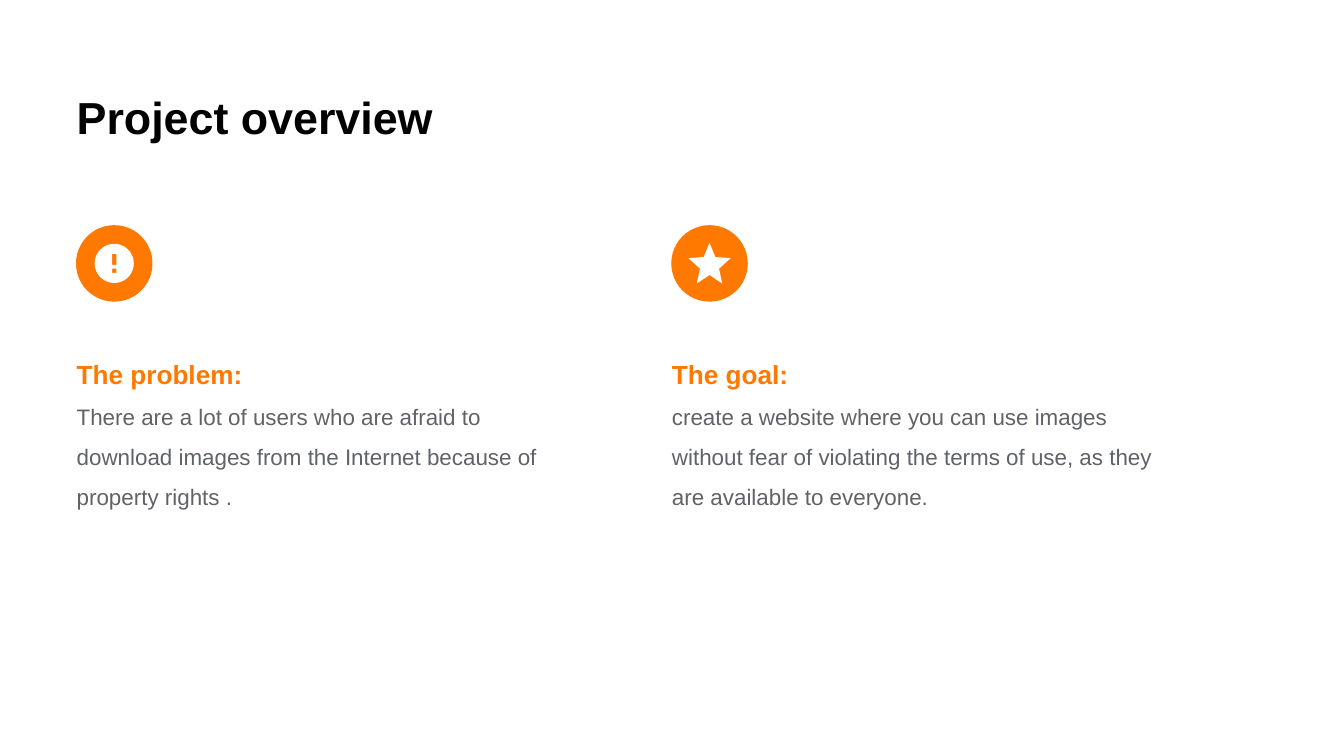
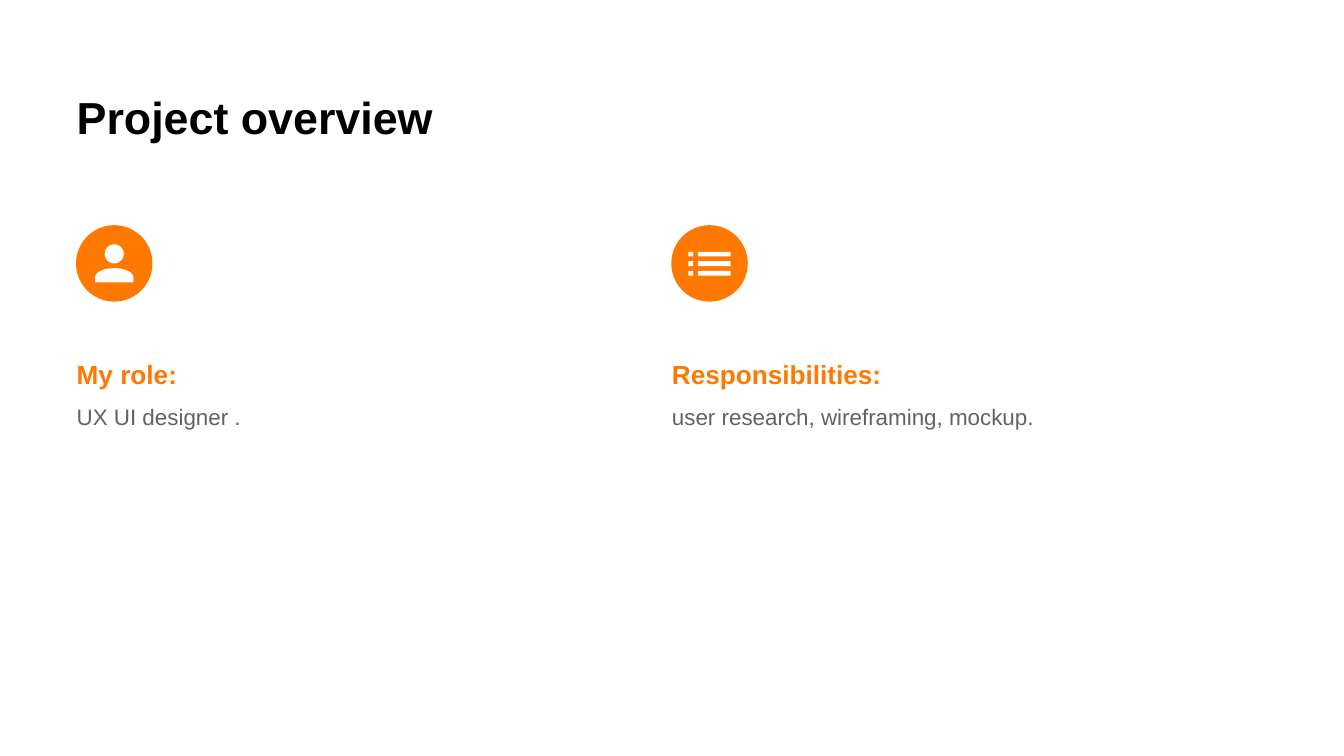
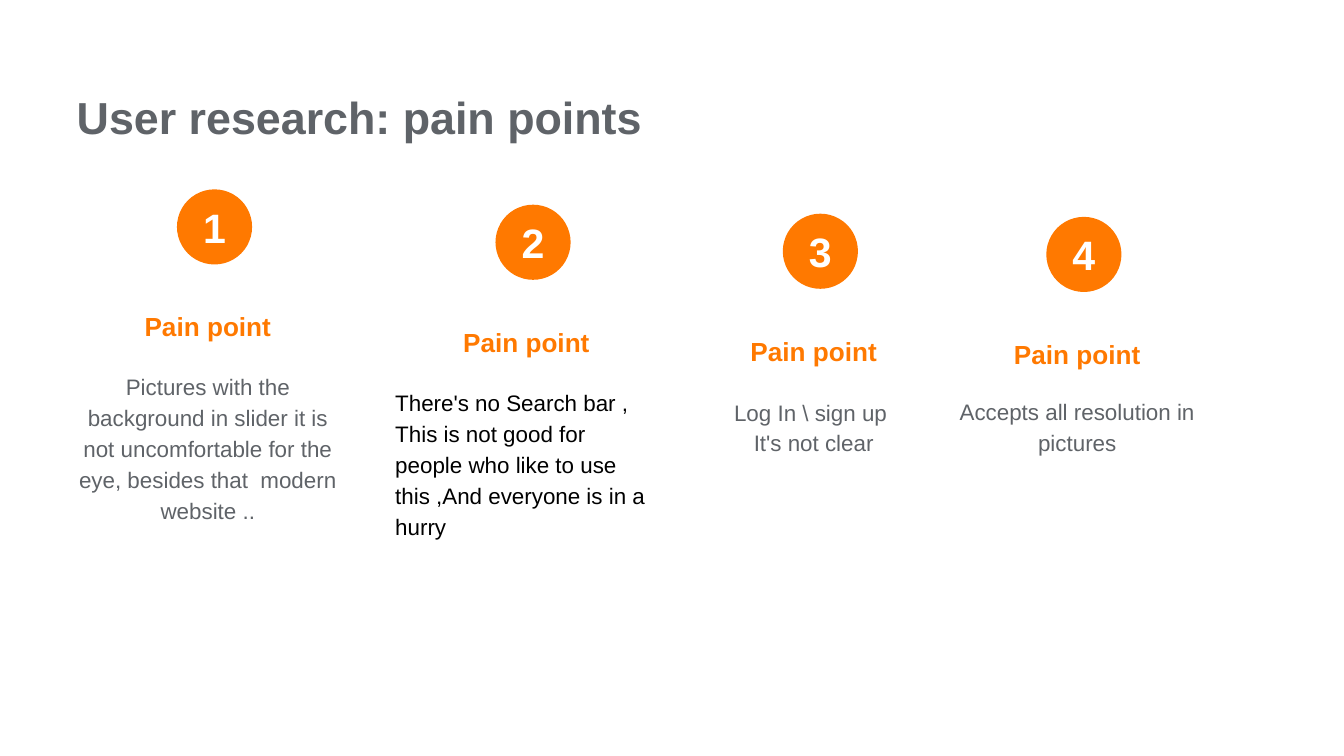
import math
from dataclasses import dataclass

import pptx
import pptx.dml.color
import pptx.enum.shapes
import pptx.enum.text
import pptx.presentation
import pptx.shapes.autoshape
import pptx.slide
import pptx.text.text
import pptx.util
from pptx.util import Cm

COLORS = {
    "accent": "FF7900",
    "body": "5F6368",
    "black": "000000",
    "white": "FFFFFF",
}
FONT = "Arial"
MARGIN = 1.45
DISC_SIZE = 1.42
LEFT = pptx.enum.text.PP_ALIGN.LEFT
CENTER = pptx.enum.text.PP_ALIGN.CENTER

Point = tuple[float, float]
Contour = list[Point]


@dataclass(frozen=True)
class Box:
    left: float
    top: float
    width: float
    height: float


@dataclass(frozen=True)
class Line:
    text: str
    size: float
    color: str
    bold: bool = False
    align: pptx.enum.text.PP_ALIGN = LEFT
    spacing: float | None = None


@dataclass(frozen=True)
class Topic:
    left: float
    icon: list[Contour]
    heading: str
    body: str


@dataclass(frozen=True)
class PainPoint:
    left: float
    disc_top: float
    body_top: float
    body_height: float
    body: tuple[str, ...]
    color: str = "body"
    align: pptx.enum.text.PP_ALIGN = CENTER


def rgb(color: str) -> pptx.dml.color.RGBColor:
    return pptx.dml.color.RGBColor.from_string(COLORS[color])


def arc(center_y: float, radius_x: float, radius_y: float, start: float = 0, sweep: float = 360) -> Contour:
    steps = 48
    angles = [math.radians(start + sweep * step / steps) for step in range(steps + 1)]
    return [(radius_x * math.cos(angle), center_y + radius_y * math.sin(angle)) for angle in angles]


def rectangle(left: float, top: float, right: float, bottom: float) -> Contour:
    return [(left, top), (right, top), (right, bottom), (left, bottom)]


def alert_icon() -> list[Contour]:
    return [arc(0, 0.37, 0.37), rectangle(-0.04, -0.18, 0.04, 0.03), rectangle(-0.04, 0.1, 0.04, 0.18)]


def star_icon() -> list[Contour]:
    half = [(0, -0.39), (0.11, -0.12), (0.4, -0.1), (0.18, 0.1), (0.24, 0.38), (0, 0.22)]
    return [half + [(-x, y) for x, y in half[-2:0:-1]]]


def person_icon() -> list[Contour]:
    shoulders = arc(0.26, 0.36, 0.17, 180, 180) + [(0.36, 0.36), (-0.36, 0.36)]
    return [arc(-0.18, 0.18, 0.18), shoulders]


def list_icon() -> list[Contour]:
    return [
        rectangle(left, top, right, top + 0.09)
        for top in (-0.22, -0.04, 0.14)
        for left, right in ((-0.4, -0.31), (-0.22, 0.4))
    ]


def write_paragraph(paragraph: pptx.text.text._Paragraph, line: Line, parts: tuple[str, ...]) -> None:
    for index, part in enumerate(parts):
        if index:
            paragraph.add_line_break()
        paragraph.add_run().text = part
    paragraph.alignment = line.align
    if line.spacing:
        paragraph.line_spacing = line.spacing
    paragraph.font.name = FONT
    paragraph.font.size = pptx.util.Pt(line.size)
    paragraph.font.bold = line.bold
    paragraph.font.color.rgb = rgb(line.color)


def add_text(slide: pptx.slide.Slide, box: Box, *lines: tuple[Line, tuple[str, ...]] | Line) -> None:
    shape = slide.shapes.add_textbox(Cm(box.left), Cm(box.top), Cm(box.width), Cm(box.height))
    frame = shape.text_frame
    frame.word_wrap = True
    frame.auto_size = pptx.enum.text.MSO_AUTO_SIZE.SHAPE_TO_FIT_TEXT
    frame.margin_left = 0
    frame.margin_top = frame.margin_right = frame.margin_bottom = Cm(0.25)
    for index, entry in enumerate(lines):
        line, parts = (entry, (entry.text,)) if isinstance(entry, Line) else entry
        paragraph = frame.add_paragraph() if index else frame.paragraphs[0]
        write_paragraph(paragraph, line, parts)


def add_disc(slide: pptx.slide.Slide, left: float, top: float) -> pptx.shapes.autoshape.Shape:
    disc = slide.shapes.add_shape(
        pptx.enum.shapes.MSO_SHAPE.OVAL, Cm(left), Cm(top), Cm(DISC_SIZE), Cm(DISC_SIZE)
    )
    disc.shadow.inherit = False
    disc.fill.solid()
    disc.fill.fore_color.rgb = rgb("accent")
    disc.line.fill.background()
    return disc


def add_icon(slide: pptx.slide.Slide, center: Point, contours: list[Contour]) -> None:
    placed = [[(Cm(center[0] + x), Cm(center[1] + y)) for x, y in contour] for contour in contours]
    builder = slide.shapes.build_freeform(*placed[0][0])
    for index, contour in enumerate(placed):
        if index:
            builder.move_to(*contour[0])
        builder.add_line_segments(contour[1:], close=True)
    icon = builder.convert_to_shape()
    icon.shadow.inherit = False
    icon.fill.solid()
    icon.fill.fore_color.rgb = rgb("white")
    icon.line.fill.background()


def add_titled_slide(
    presentation: pptx.presentation.Presentation, title: str, color: str
) -> pptx.slide.Slide:
    slide = presentation.slides.add_slide(presentation.slide_layouts[6])
    add_text(slide, Box(MARGIN, MARGIN, 17.09, 1.55), Line(title, 24, color, bold=True))
    return slide


def add_topic(slide: pptx.slide.Slide, topic: Topic, height: float) -> None:
    disc_top = 4.27
    add_text(
        slide,
        Box(topic.left, 6.22, 9.58, height),
        Line(topic.heading, 14, "accent", bold=True, spacing=1.5),
        Line(topic.body, 12, "body", spacing=1.5),
    )
    disc = add_disc(slide, topic.left, disc_top)
    disc.line.color.rgb = rgb("accent")
    disc.line.width = pptx.util.Pt(0.75)
    add_icon(slide, (topic.left + DISC_SIZE / 2, disc_top + DISC_SIZE / 2), topic.icon)


def add_pain_point(slide: pptx.slide.Slide, number: int, point: PainPoint) -> None:
    width = 5.21
    add_text(
        slide,
        Box(point.left, point.disc_top + 1.75, width, 1.12),
        Line("Pain point", 14, "accent", bold=True, align=CENTER, spacing=1.5),
    )
    body = Line("", 12, point.color, align=point.align, spacing=1.15)
    add_text(slide, Box(point.left, point.body_top, width, point.body_height), (body, point.body))
    disc = add_disc(slide, point.left + (width - DISC_SIZE) / 2, point.disc_top)
    frame = disc.text_frame
    frame.vertical_anchor = pptx.enum.text.MSO_ANCHOR.MIDDLE
    frame.margin_left = frame.margin_top = frame.margin_right = frame.margin_bottom = 0
    numeral = Line(str(number), 22, "white", bold=True, align=CENTER)
    write_paragraph(frame.paragraphs[0], numeral, (numeral.text,))


def add_overview(
    presentation: pptx.presentation.Presentation, height: float, topics: list[Topic]
) -> None:
    slide = add_titled_slide(presentation, "Project overview", "black")
    for topic in topics:
        add_topic(slide, topic, height)


def add_pain_points(presentation: pptx.presentation.Presentation) -> None:
    slide = add_titled_slide(presentation, "User research: pain points", "body")
    points = [
        PainPoint(
            MARGIN, 3.58, 6.73, 3.99,
            ("Pictures with the background in slider it is not uncomfortable for the eye, "
             "besides that  modern website ..",),
        ),
        PainPoint(
            7.47, 3.87, 7.03, 3.38,
            ("There's no Search bar , This is not good for people who like to use this ,"
             "And everyone is in a hurry",),
            color="black", align=LEFT,
        ),
        PainPoint(12.9, 4.04, 7.21, 1.63, (r"Log In \ sign up ", "It's not clear")),
        PainPoint(17.88, 4.1, 7.2, 1.63, ("Accepts all resolution in pictures",)),
    ]
    for number, point in enumerate(points, start=1):
        add_pain_point(slide, number, point)


def main() -> None:
    presentation = pptx.Presentation()
    presentation.slide_width = Cm(25.4)
    presentation.slide_height = Cm(14.29)
    second_column = 12.7
    add_overview(presentation, 3.45, [
        Topic(
            MARGIN, alert_icon(), "The problem:",
            "There are a lot of users who are afraid to download images from the Internet "
            "because of property rights .",
        ),
        Topic(
            second_column, star_icon(), "The goal:",
            "create a website where you can use images without fear of violating the terms "
            "of use, as they are available to everyone.",
        ),
    ])
    add_overview(presentation, 1.93, [
        Topic(MARGIN, person_icon(), "My role:", "UX UI designer ."),
        Topic(second_column, list_icon(), "Responsibilities:", "user research, wireframing, mockup."),
    ])
    add_pain_points(presentation)
    presentation.save("out.pptx")


if __name__ == "__main__":
    main()
